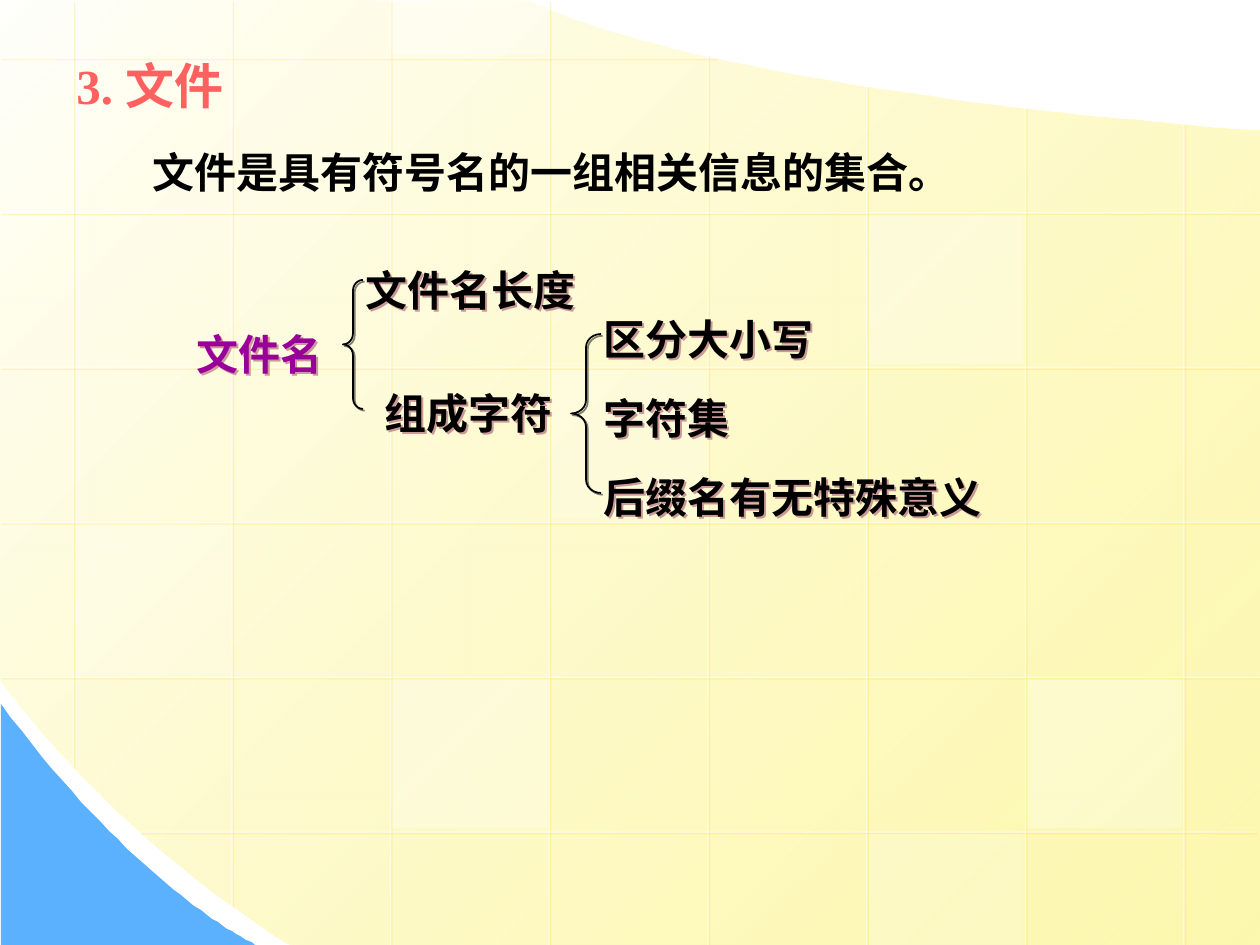
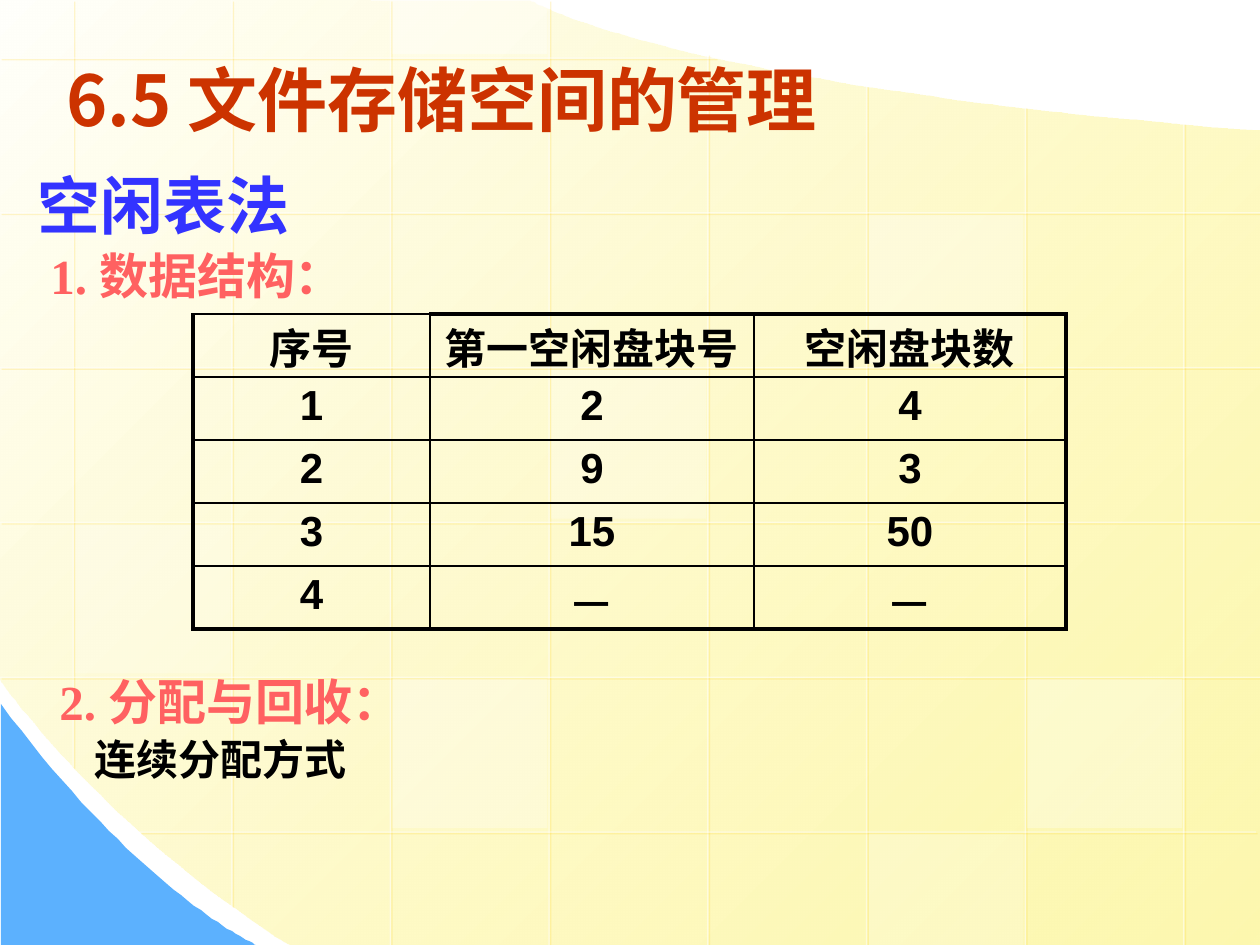
"""Builds two lecture slides on files and on managing file storage space."""
from dataclasses import dataclass

from lxml.etree import SubElement
from pptx import Presentation
from pptx.dml.color import RGBColor
from pptx.enum.shapes import MSO_CONNECTOR as Connector, MSO_SHAPE as Shape
from pptx.enum.text import MSO_ANCHOR as Anchor, PP_ALIGN as Align
from pptx.oxml.ns import qn
from pptx.util import Pt

SCALE = 914400 / 126
WIDTH, HEIGHT = 1260, 945
GRID_LEFT, GRID_TOP, GRID_DX, GRID_DY = 73, 58, 158.7, 154.8


@dataclass(frozen=True)
class Theme:
    """Colours, fonts and type sizes of the deck."""
    ink: str = "000000"
    white: str = "FFFFFF"
    heading: str = "CC3300"
    section: str = "3333FF"
    point: str = "FF6161"
    term: str = "990099"
    glow: str = "FFCC00"
    label_shadow: str = "CC9999"
    paper_light: str = "FFFFFB"
    paper_deep: str = "FDF58D"
    wave: str = "5CB1FE"
    serif: str = "Times New Roman"
    sans: str = "Arial"
    cjk: str = "Noto Sans CJK SC"
    heading_size: int = 40
    section_size: int = 36
    point_size: int = 28
    body_size: int = 24
    leading: float = 1.28


THEME = Theme()
POINT = dict(size=THEME.point_size, color=THEME.point, name=THEME.serif)
BODY = dict(size=THEME.body_size, color=THEME.ink, name=THEME.serif)
LABEL = dict(BODY, name=THEME.sans)
HEADING = dict(size=THEME.heading_size, color=THEME.heading, name=THEME.cjk)
SECTION = dict(size=THEME.section_size, color=THEME.section, name=THEME.serif)


def px(length):
    """Turn px into EMU."""
    return round(length * SCALE)


def box(*lengths):
    """Turn a px box into EMU."""
    return [px(length) for length in lengths]


def rgb(code):
    """Read a hex colour."""
    return RGBColor.from_string(code)


def apply(target, values):
    """Set each attribute in a dict of format values."""
    for key, value in values.items():
        setattr(target, key, value)


def set_alpha(color, percent):
    """Give a colour element an opacity."""
    SubElement(color, qn("a:alpha")).set("val", str(percent * 1000))


def fade(shape, percent):
    """Make the last colour of a shape partly transparent."""
    set_alpha(shape.element.spPr.findall(".//" + qn("a:srgbClr"))[-1], percent)


def cast_shadow(shape, color, percent):
    """Drop a small hard shadow to the lower right."""
    effects = SubElement(shape.element.spPr, qn("a:effectLst"))
    shadow = SubElement(effects, qn("a:outerShdw"), dist="17961", dir="2700000", algn="ctr", rotWithShape="0")
    tint = SubElement(shadow, qn("a:srgbClr"), val=color)
    set_alpha(tint, percent)


def curve(start, pull_a, pull_b, end, steps=40):
    """Sample a cubic curve, without its start."""
    return [tuple((1 - t) ** 3 * a + 3 * t * (1 - t) ** 2 * b + 3 * t * t * (1 - t) * c + t ** 3 * d
                  for a, b, c, d in zip(start, pull_a, pull_b, end))
            for t in (step / steps for step in range(1, steps + 1))]


def add_outline(slide, points):
    """Draw a closed outline with no line or shadow."""
    builder = slide.shapes.build_freeform(*points[0], scale=SCALE)
    builder.add_line_segments(points[1:], close=True)
    outline = builder.convert_to_shape()
    outline.shadow.inherit = False
    outline.line.fill.background()
    return outline


def add_waves(slide):
    """Draw the yellow sheet and the blue corner."""
    sheet = add_outline(slide, [
        (1260, 131), (1260, 945), (290, 945),
        *curve((290, 945), (108, 833), (-1, 679), (0, 679)),
        (-1, -1), (530, 1),
        *curve((530, 1), (530, 1), (677, 87), (1260, 131))])
    sheet.fill.gradient()
    sheet.fill.gradient_angle = 315
    for stop, code in zip(sheet.fill.gradient_stops, (THEME.paper_light, THEME.paper_deep)):
        stop.color.rgb = rgb(code)
    fade(sheet, 70)
    corner = add_outline(slide, [
        (1, 704), (1, 945), (256, 945),
        *curve((256, 945), (256, 945), (141, 893), (1, 704))])
    corner.fill.solid()
    corner.fill.fore_color.rgb = rgb(THEME.wave)


def add_grid_line(slide, *ends):
    """Draw one pale grid line."""
    rule = slide.shapes.add_connector(Connector.STRAIGHT, *box(*ends))
    rule.line.width = Pt(0.75)
    rule.line.color.rgb = rgb(THEME.white)
    fade(rule, 50)
    cast_shadow(rule, THEME.glow, 34)


def add_grid(slide):
    """Draw the grid and its pale tiles."""
    spans = [(0, 767), (0, 906), (0, 945), (0, 947), (54, 947), (86, 947), (107, 947), (123, 947)]
    for column, (top, bottom) in enumerate(spans):
        x = GRID_LEFT + column * GRID_DX
        add_grid_line(slide, x, top, x, bottom)
    reaches = [(716, 0), (1261, 0), (1261, 0), (1261, 0), (1261, 0), (1256, 140)]
    for row, (right, left) in enumerate(reaches):
        y = GRID_TOP + row * GRID_DY
        add_grid_line(slide, right, y, left, y)
    tiles = [(3, 2, 25), (6, 4, 30), (0, 3, 20), (5, 5, 20), (2, -1, 40), (2, 4, 30), (5, 1, 30)]
    for column, row, opacity in tiles:
        left, top = GRID_LEFT + column * GRID_DX + 2, GRID_TOP + row * GRID_DY + 2
        bottom, top = min(top + 149, HEIGHT), max(top, 0)
        tile = slide.shapes.add_shape(Shape.RECTANGLE, *box(left, top, 155, bottom - top))
        tile.shadow.inherit = False
        tile.line.fill.background()
        tile.fill.solid()
        tile.fill.fore_color.rgb = rgb(THEME.white)
        fade(tile, opacity)


def write(paragraph, words, size, color, name, indent=0, leading=THEME.leading):
    """Fill a paragraph with bold text in one style."""
    if indent:
        paragraph._p.get_or_add_pPr().set("marL", str(px(indent)))
    if leading:
        paragraph.line_spacing = Pt(round(size * leading, 1))
    run = paragraph.add_run()
    run.text = words
    run.font.color.rgb = rgb(color)
    apply(run.font, dict(size=Pt(size), bold=True, name=name))
    SubElement(run._r.get_or_add_rPr(), qn("a:ea"), typeface=THEME.cjk)


def add_text(slide, place, *lines):
    """Add a text box; each line is its words and a style."""
    note = slide.shapes.add_textbox(*box(*place))
    frame = note.text_frame
    frame.word_wrap = True
    for index, (words, style) in enumerate(lines):
        write(frame.add_paragraph() if index else frame.paragraphs[0], words, **style)
    return note


def add_label(slide, place, words, style=LABEL):
    """Add a shadowed label of the naming tree."""
    cast_shadow(add_text(slide, place, (words, style)), THEME.label_shadow, 100)


def add_brace(slide, place, bend):
    """Add a brace that opens to the right."""
    brace = slide.shapes.add_shape(Shape.LEFT_BRACE, *box(*place))
    brace.adjustments[0] = bend
    brace.fill.background()
    brace.line.color.rgb = rgb(THEME.ink)
    brace.line.width = Pt(1)
    cast_shadow(brace, THEME.ink, 50)


def set_border(cell, side, width):
    """Draw one side of a table cell."""
    edge = SubElement(cell._tc.get_or_add_tcPr(), qn("a:" + side), w=str(Pt(width)))
    fill = SubElement(edge, qn("a:solidFill"))
    SubElement(fill, qn("a:srgbClr"), val=THEME.ink)


def add_free_block_table(slide, place, widths, rows):
    """Add the table of free block runs."""
    last_row, last_column = len(rows) - 1, len(widths) - 1
    table = slide.shapes.add_table(len(rows), len(widths), *box(*place)).table
    apply(table, dict(first_row=False, horz_banding=False))
    for column, width in zip(table.columns, widths):
        column.width = px(width)
    for r, values in enumerate(rows):
        table.rows[r].height = px(place[3] / len(rows))
        for c, words in enumerate(values):
            cell = table.cell(r, c)
            digits = words.isdigit()
            apply(cell, dict(vertical_anchor=Anchor.TOP, margin_top=px(6 if digits else 9),
                             margin_bottom=0, margin_left=px(6), margin_right=px(6)))
            heavy = dict(lnL=c == 0, lnR=c == last_column, lnT=r == 0 and c > 0, lnB=r == last_row)
            for side, thick in heavy.items():
                set_border(cell, side, 2.25 if thick else 1)
            cell.fill.background()
            paragraph = cell.text_frame.paragraphs[0]
            paragraph.alignment = Align.CENTER
            font = THEME.cjk if words == "—" else THEME.sans
            write(paragraph, words, **dict(LABEL, name=font, leading=None if digits else THEME.leading))


def add_slide(deck):
    """Add a blank slide with the shared backdrop."""
    slide = deck.slides.add_slide(deck.slide_layouts[6])
    add_waves(slide)
    add_grid(slide)
    return slide


def build_file_slide(deck):
    """Explain what a file and its name are."""
    slide = add_slide(deck)
    add_text(slide, (64, 45, 483, 72), ("3. 文件", POINT))
    add_text(slide, (73, 115, 1113, 83),
             ("文件是具有符号名的一组相关信息的集合。", dict(BODY, indent=67, leading=1.79)))
    add_label(slide, (184, 319, 198, 63), "文件名", dict(LABEL, color=THEME.term))
    add_label(slide, (353, 255, 258, 63), "文件名长度")
    add_label(slide, (372, 378, 208, 63), "组成字符")
    add_brace(slide, (343, 280, 20, 129), 0.54)
    for index, words in enumerate(("区分大小写", "字符集", "后缀名有无特殊意义")):
        add_label(slide, (591, 304 + index * 79, 456, 63), words)
    add_brace(slide, (571, 334, 30, 159), 0.44)


def build_storage_slide(deck):
    """Present the free table method."""
    slide = add_slide(deck)
    add_text(slide, (54, 45, 1121, 97), ("6.5 文件存储空间的管理", HEADING))
    add_text(slide, (25, 155, 745, 147),
             ("空闲表法", SECTION), ("1. 数据结构：", dict(POINT, indent=13)))
    add_free_block_table(slide, (193, 314, 873, 315), (237, 324, 312), [
        ("序号", "第一空闲盘块号", "空闲盘块数"),
        ("1", "2", "4"),
        ("2", "9", "3"),
        ("3", "15", "50"),
        ("4", "—", "—")])
    add_text(slide, (34, 661, 745, 122),
             ("2. 分配与回收：", dict(POINT, indent=13)),
             ("连续分配方式", dict(BODY, name=THEME.cjk, indent=48)))


def main():
    """Build and save the deck."""
    deck = Presentation()
    apply(deck, dict(slide_width=px(WIDTH), slide_height=px(HEIGHT)))
    build_file_slide(deck)
    build_storage_slide(deck)
    deck.save("out.pptx")


if __name__ == "__main__":
    main()
